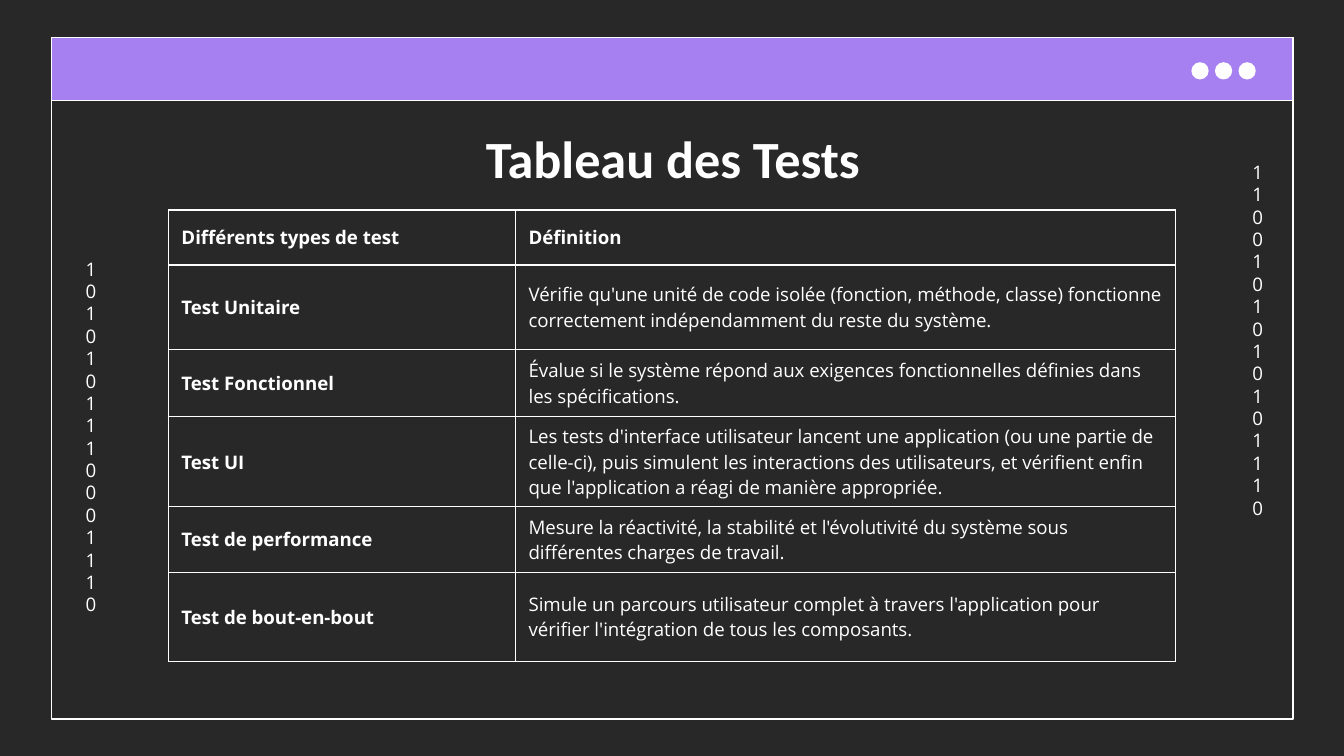
import pptx
import pptx.dml.color
import pptx.enum.shapes
import pptx.enum.text
import pptx.oxml
import pptx.oxml.ns
import pptx.util
from pptx.util import Cm, Pt

COLORS = {"back": "292828", "bar": "A67FF1", "white": "FFFFFF"}
TITLE = "Tableau des Tests"
ROWS = [
    ("Différents types de test", "Définition", 1.04),
    ("Test Unitaire", "Vérifie qu'une unité de code isolée (fonction, méthode, classe) fonctionne "
     "correctement indépendamment du reste du système.", 1.6),
    ("Test Fonctionnel", "Évalue si le système répond aux exigences fonctionnelles définies dans "
     "les spécifications.", 1.27),
    ("Test UI", "Les tests d'interface utilisateur lancent une application (ou une partie de "
     "celle-ci), puis simulent les interactions des utilisateurs, et vérifient enfin que "
     "l'application a réagi de manière appropriée.", 1.7),
    ("Test de performance", "Mesure la réactivité, la stabilité et l'évolutivité du système sous "
     "différentes charges de travail.", 1.24),
    ("Test de bout-en-bout", "Simule un parcours utilisateur complet à travers l'application pour "
     "vérifier l'intégration de tous les composants.", 1.68),
]
COL_WIDTHS = (6.56, 12.47)
DIGITS = [(23.42, 2.79, ["1100101010101110"]), (1.37, 4.62, ["101010111000111", "0"])]
DOT_LEFT, DOT_STEP, DOT_SIZE = 22.53, 0.445, 0.3
INSET = Cm(0.25)


def rgb(name):
    """Return the named colour."""
    return pptx.dml.color.RGBColor.from_string(COLORS[name])


def style(p, size, font, bold=False):
    """Format every run of a paragraph."""
    for r in p.runs:
        r.font.size, r.font.name, r.font.bold = Pt(size), font, bold
        r.font.color.rgb = rgb("white")


def set_insets(tf):
    """Give a text frame equal insets and wrapping from the top."""
    tf.margin_left = tf.margin_right = tf.margin_top = tf.margin_bottom = INSET
    tf.word_wrap = True
    tf.auto_size = pptx.enum.text.MSO_AUTO_SIZE.NONE
    tf.vertical_anchor = pptx.enum.text.MSO_ANCHOR.TOP


def add_outlined(s, kind, box, fill=None):
    """Add a white-outlined preset shape."""
    sp = s.shapes.add_shape(kind, *map(Cm, box))
    sp.shadow.inherit = False
    if fill:
        sp.fill.solid()
        sp.fill.fore_color.rgb = rgb(fill)
    else:
        sp.fill.background()
    sp.line.color.rgb = rgb("white")
    sp.line.width = Pt(0.75)


def add_borders(cell):
    """Draw a white line on all four sides of a cell."""
    tc_pr = cell._tc.get_or_add_tcPr()
    for i, side in enumerate(("lnL", "lnR", "lnT", "lnB")):
        tc_pr.insert(i, pptx.oxml.parse_xml(
            f'<a:{side} {pptx.oxml.ns.nsdecls("a")} w="{Pt(0.75)}"><a:solidFill>'
            f'<a:srgbClr val="{COLORS["white"]}"/></a:solidFill></a:{side}>'))


def add_window(s):
    """Draw the window frame, its bar and the three dots."""
    shapes = pptx.enum.shapes.MSO_SHAPE
    add_outlined(s, shapes.RECTANGLE, (0.97, 0.71, 23.47, 12.88))
    add_outlined(s, shapes.RECTANGLE, (0.97, 0.71, 23.47, 1.19), "bar")
    for i in range(3):
        add_outlined(s, shapes.OVAL, (DOT_LEFT + i * DOT_STEP, 1.19, DOT_SIZE, DOT_SIZE), "white")


def add_digits(s, left, top, lines):
    """Add a narrow column of digits that wraps after each one."""
    tf = s.shapes.add_textbox(Cm(left), Cm(top), Cm(0.61), Cm(7.11)).text_frame
    set_insets(tf)
    tf.text = "\n".join(lines)
    for p in tf.paragraphs:
        p.alignment = pptx.enum.text.PP_ALIGN.CENTER
        p.line_spacing = Pt(12)
        style(p, 10, "Open Sans")


def add_title(s):
    """Place and format the title."""
    sp = s.shapes.title
    sp.left, sp.top, sp.width, sp.height = map(Cm, (2.01, 2.13, 21.41, 1.6))
    tf = sp.text_frame
    set_insets(tf)
    tf.text = TITLE
    p = tf.paragraphs[0]
    p.alignment = pptx.enum.text.PP_ALIGN.CENTER
    style(p, 28, "Calibri", True)


def add_tests(s):
    """Add the table of test types."""
    height = sum(row[-1] for row in ROWS)
    table = s.shapes.add_table(len(ROWS), len(COL_WIDTHS), Cm(3.18), Cm(3.97),
                               Cm(sum(COL_WIDTHS)), Cm(height)).table
    table.first_row = table.horz_banding = False
    for col, width in zip(table.columns, COL_WIDTHS):
        col.width = Cm(width)
    for i, (*texts, row_height) in enumerate(ROWS):
        table.rows[i].height = Cm(row_height)
        for j, text in enumerate(texts):
            cell = table.cell(i, j)
            cell.text = text
            cell.fill.background()
            cell.vertical_anchor = pptx.enum.text.MSO_ANCHOR.MIDDLE
            cell.margin_left = cell.margin_right = INSET
            cell.margin_top = cell.margin_bottom = 0
            style(cell.text_frame.paragraphs[0], 10, "Open Sans", i == 0 or j == 0)
            add_borders(cell)


def main():
    """Build the slide and save it."""
    prs = pptx.Presentation()
    prs.slide_width, prs.slide_height = Cm(25.4), Cm(14.29)
    s = prs.slides.add_slide(prs.slide_layouts[5])
    s.background.fill.solid()
    s.background.fill.fore_color.rgb = rgb("back")
    add_window(s)
    for column in DIGITS:
        add_digits(s, *column)
    add_title(s)
    add_tests(s)
    prs.save("out.pptx")


if __name__ == "__main__":
    main()
